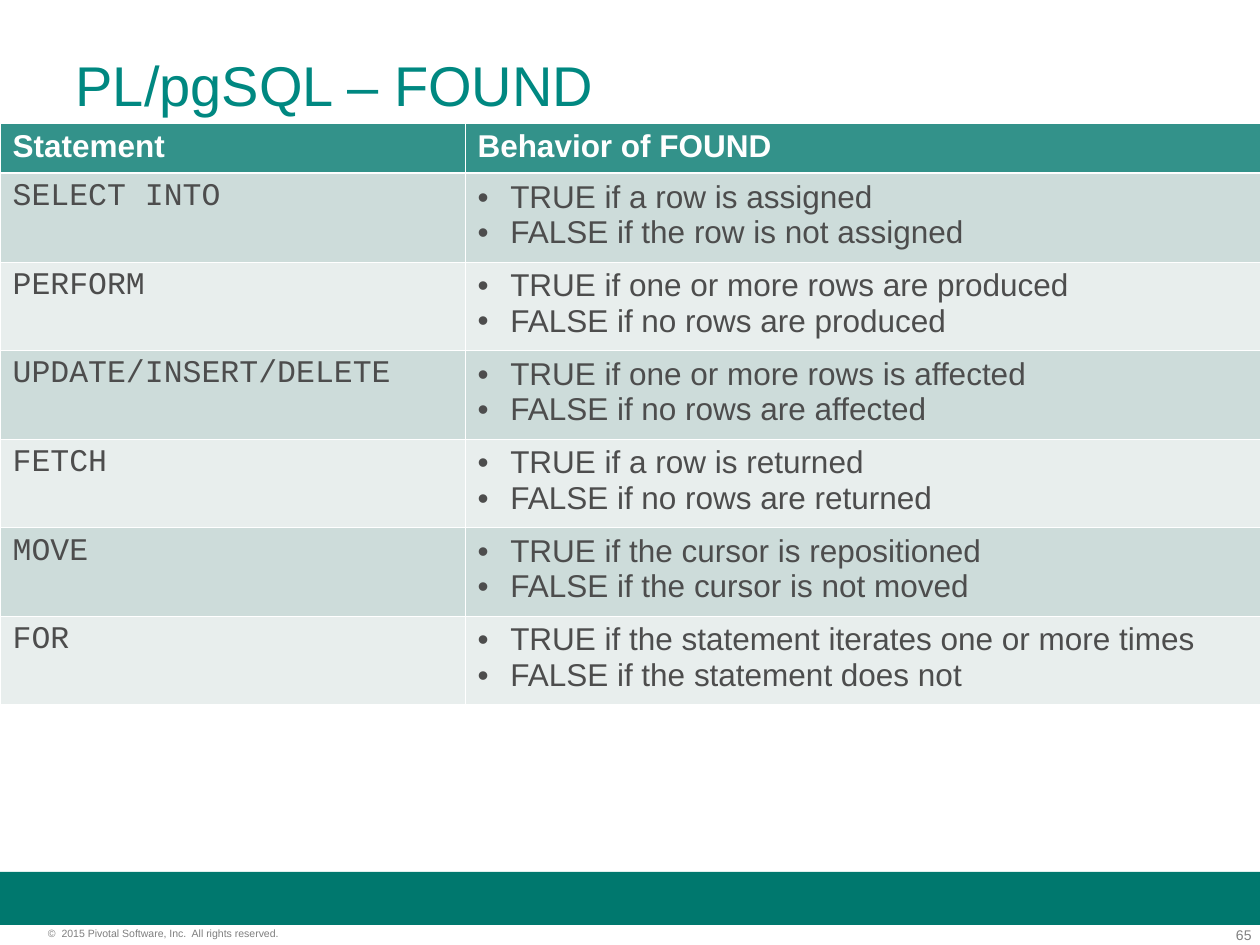
"""Build the slide on how PL/pgSQL statements set FOUND."""

from dataclasses import dataclass

from lxml import etree
from pptx import Presentation
from pptx.dml.color import RGBColor
from pptx.enum.shapes import MSO_SHAPE
from pptx.enum.text import MSO_ANCHOR, MSO_AUTO_SIZE, PP_ALIGN
from pptx.oxml.ns import qn
from pptx.slide import Slide
from pptx.table import _Cell
from pptx.text.text import TextFrame, _Paragraph
from pptx.util import Pt

RECTANGLE = MSO_SHAPE.RECTANGLE
TOP = MSO_ANCHOR.TOP
NO_AUTOFIT = MSO_AUTO_SIZE.NONE
LEFT, RIGHT = PP_ALIGN.LEFT, PP_ALIGN.RIGHT
TITLE_ONLY = 5


@dataclass(frozen=True)
class TextStyle:
    size: float
    color: str
    font: str = "Arial"
    bold: bool = False


@dataclass(frozen=True)
class Theme:
    title: TextStyle = TextStyle(32, "008881")
    header: TextStyle = TextStyle(18, "FFFFFF", bold=True)
    code: TextStyle = TextStyle(18, "4D4D4D", "Courier New")
    body: TextStyle = TextStyle(18, "4D4D4D")
    page_number: TextStyle = TextStyle(8, "7F7F7F")
    copyright: TextStyle = TextStyle(6, "7F7F7F")
    footer_band: str = "00786E"
    header_fill: str = "33928A"
    row_fills: tuple[str, str] = ("CDDCDA", "E8EEED")
    border: str = "FFFFFF"
    thin_border: float = 0.45
    thick_border: float = 1.47


@dataclass(frozen=True)
class Box:
    left: float
    top: float
    width: float
    height: float

    def lengths(self) -> tuple[Pt, Pt, Pt, Pt]:
        return Pt(self.left), Pt(self.top), Pt(self.width), Pt(self.height)


@dataclass(frozen=True)
class FoundRule:
    statement: str
    when_true: str
    when_false: str


THEME = Theme()
TITLE_BOX = Box(36, 21.6, 648, 90)
FOOTER_BAND = Box(0, 498.2, 720, 30.4)
PAGE_NUMBER_BOX = Box(673.2, 529.2, 42, 9.4)
COPYRIGHT_BOX = Box(27.4, 529.9, 179.3, 7.2)
COLUMN_WIDTHS = (265.7, 454.3)
HEADER_HEIGHT = 28.8
ROW_HEIGHT = 50.6
TABLE_TOP = 70.2
BULLET_INDENT = 18.7
HEADERS = ("Statement", "Behavior of FOUND")
RULES = (
    FoundRule("SELECT INTO", "a row is assigned", "the row is not assigned"),
    FoundRule("PERFORM", "one or more rows are produced", "no rows are produced"),
    FoundRule("UPDATE/INSERT/DELETE", "one or more rows is affected", "no rows are affected"),
    FoundRule("FETCH", "a row is returned", "no rows are returned"),
    FoundRule("MOVE", "the cursor is repositioned", "the cursor is not moved"),
    FoundRule("FOR", "the statement iterates one or more times", "the statement does not"),
)


def format_text(text_frame: TextFrame, style: TextStyle, alignment: PP_ALIGN = LEFT) -> None:
    for paragraph in text_frame.paragraphs:
        paragraph.alignment = alignment
        for run in paragraph.runs:
            run.font.name = style.font
            run.font.size = Pt(style.size)
            run.font.bold = style.bold
            run.font.color.rgb = RGBColor.from_string(style.color)


def add_bullet(paragraph: _Paragraph, color: str) -> None:
    properties = paragraph._p.get_or_add_pPr()
    properties.set("marL", str(Pt(BULLET_INDENT)))
    properties.set("indent", str(-Pt(BULLET_INDENT)))
    bullet_color = etree.SubElement(properties, qn("a:buClr"))
    etree.SubElement(bullet_color, qn("a:srgbClr"), val=color)
    etree.SubElement(properties, qn("a:buFont"), typeface="Arial")
    etree.SubElement(properties, qn("a:buChar"), char="•")


def add_borders(cell: _Cell, top: float, bottom: float) -> None:
    properties = cell._tc.get_or_add_tcPr()
    thin = THEME.thin_border
    for side, width in (("lnL", thin), ("lnR", thin), ("lnT", top), ("lnB", bottom)):
        line = etree.SubElement(properties, qn(f"a:{side}"), w=str(Pt(width)))
        fill = etree.SubElement(line, qn("a:solidFill"))
        etree.SubElement(fill, qn("a:srgbClr"), val=THEME.border)


def fill_cell(cell: _Cell, text: str, style: TextStyle, fill: str, row: int) -> None:
    thin, thick = THEME.thin_border, THEME.thick_border
    add_borders(cell, thick if row == 1 else thin, thick if row == 0 else thin)
    cell.fill.solid()
    cell.fill.fore_color.rgb = RGBColor.from_string(fill)
    cell.margin_left = cell.margin_right = Pt(7.2)
    cell.margin_top = cell.margin_bottom = Pt(3.6)
    cell.text_frame.text = text
    format_text(cell.text_frame, style)


def add_title(slide: Slide, text: str) -> None:
    title = slide.shapes.title
    title.left, title.top, title.width, title.height = TITLE_BOX.lengths()
    text_frame = title.text_frame
    text_frame.text = text
    text_frame.auto_size = NO_AUTOFIT
    text_frame.vertical_anchor = TOP
    text_frame.margin_top = Pt(7.2)
    format_text(text_frame, THEME.title)


def add_footer_band(slide: Slide) -> None:
    band = slide.shapes.add_shape(RECTANGLE, *FOOTER_BAND.lengths())
    band.shadow.inherit = False
    band.fill.solid()
    band.fill.fore_color.rgb = RGBColor.from_string(THEME.footer_band)
    band.line.fill.background()


def add_label(slide: Slide, box: Box, text: str, style: TextStyle, alignment: PP_ALIGN) -> None:
    text_frame = slide.shapes.add_textbox(*box.lengths()).text_frame
    text_frame.margin_left = text_frame.margin_right = Pt(0)
    text_frame.margin_top = text_frame.margin_bottom = Pt(0)
    text_frame.word_wrap = True
    text_frame.text = text
    format_text(text_frame, style, alignment)


def add_found_table(slide: Slide) -> None:
    height = HEADER_HEIGHT + ROW_HEIGHT * len(RULES)
    box = Box(0, TABLE_TOP, sum(COLUMN_WIDTHS), height)
    table = slide.shapes.add_table(len(RULES) + 1, len(HEADERS), *box.lengths()).table
    for column, width in zip(table.columns, COLUMN_WIDTHS):
        column.width = Pt(width)
    for row in table.rows:
        row.height = Pt(ROW_HEIGHT)
    table.rows[0].height = Pt(HEADER_HEIGHT)
    for column, header in enumerate(HEADERS):
        fill_cell(table.cell(0, column), header, THEME.header, THEME.header_fill, 0)
    for row, rule in enumerate(RULES, start=1):
        fill = THEME.row_fills[(row - 1) % 2]
        fill_cell(table.cell(row, 0), rule.statement, THEME.code, fill, row)
        behavior = table.cell(row, 1)
        text = f"TRUE if {rule.when_true}\nFALSE if {rule.when_false}"
        fill_cell(behavior, text, THEME.body, fill, row)
        for paragraph in behavior.text_frame.paragraphs:
            add_bullet(paragraph, THEME.body.color)


def main() -> None:
    presentation = Presentation()
    presentation.slide_width, presentation.slide_height = Pt(720), Pt(540)
    slide = presentation.slides.add_slide(presentation.slide_layouts[TITLE_ONLY])
    add_footer_band(slide)
    add_label(slide, PAGE_NUMBER_BOX, "65", THEME.page_number, RIGHT)
    copyright_line = "©  2015 Pivotal Software, Inc.  All rights reserved."
    add_label(slide, COPYRIGHT_BOX, copyright_line, THEME.copyright, LEFT)
    add_title(slide, "PL/pgSQL – FOUND")
    add_found_table(slide)
    presentation.save("out.pptx")


if __name__ == "__main__":
    main()
